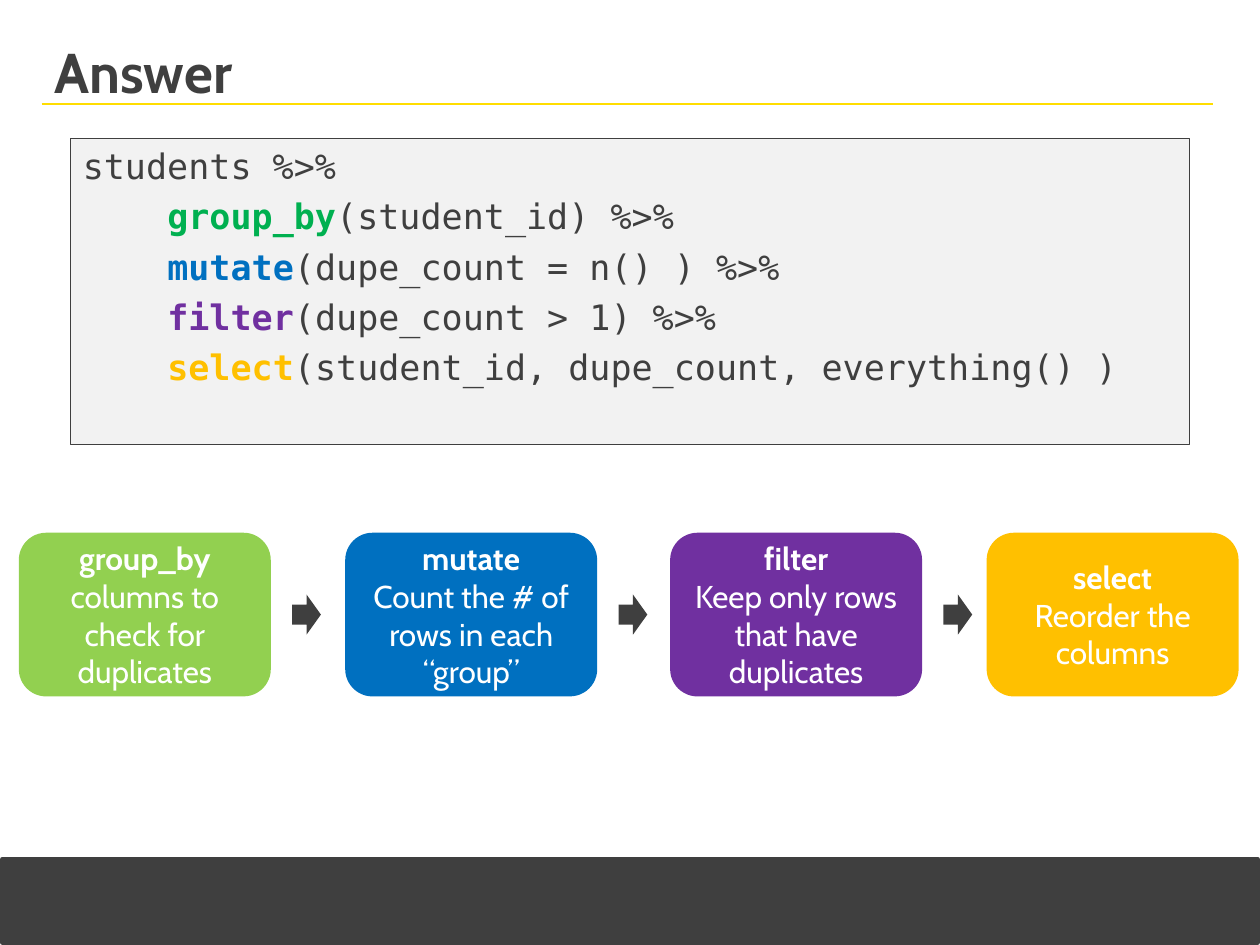
"""Build the answer slide: a dplyr pipeline and the four steps it runs."""
from lxml.etree import SubElement
from pptx import Presentation
from pptx.dml.color import RGBColor
from pptx.enum.shapes import MSO_CONNECTOR, MSO_SHAPE as Shape
from pptx.enum.text import MSO_ANCHOR as Anchor, MSO_AUTO_SIZE as AutoSize, PP_ALIGN as Align
from pptx.oxml.ns import qn
from pptx.util import Cm, Pt

DARK = RGBColor(0x3F, 0x3F, 0x3F)
RULE_YELLOW = RGBColor(0xFF, 0xDD, 0x00)
CODE_FILL = RGBColor(0xF2, 0xF2, 0xF2)
WHITE = RGBColor(0xFF, 0xFF, 0xFF)
GREEN = RGBColor(0x00, 0xB0, 0x50)
LIGHT_GREEN = RGBColor(0x92, 0xD0, 0x50)
BLUE = RGBColor(0x00, 0x70, 0xC0)
PURPLE = RGBColor(0x70, 0x30, 0xA0)
GOLD = RGBColor(0xFF, 0xC0, 0x00)
TEXT_FONT, CODE_FONT = "Cabin", "DejaVu Sans Mono"


def add_filled(kind, left, top, width, height, color):
    shape = slide.shapes.add_shape(kind, Cm(left), Cm(top), Cm(width), Cm(height))
    shape.shadow.inherit = False
    shape.fill.solid()
    shape.fill.fore_color.rgb = color
    shape.line.fill.background()
    return shape


def style(font, name, size, color, bold=False):
    font.name, font.size, font.bold = name, Pt(size), bold
    font.color.rgb = color


presentation = Presentation()
presentation.slide_width, presentation.slide_height = Cm(25.4), Cm(19.05)
slide = presentation.slides.add_slide(presentation.slide_layouts[5])

footer = add_filled(Shape.RECTANGLE, 0.05, 17.32, 25.3, 1.68, DARK)
footer.line.color.rgb = DARK
footer.line.width = Pt(3)

rule = slide.shapes.add_connector(MSO_CONNECTOR.STRAIGHT, Cm(0.84), Cm(2.1), Cm(24.46), Cm(2.1))
rule.line.color.rgb = RULE_YELLOW
rule.line.width = Pt(1)
SubElement(rule._element.spPr, qn("a:effectLst"))

title = slide.shapes.title
title.left, title.top, title.width, title.height = Cm(0.84), Cm(0.76), Cm(23.62), Cm(1.35)
title.text_frame.text = "Answer"
title.text_frame.auto_size = AutoSize.NONE
title.text_frame.vertical_anchor = Anchor.MIDDLE
title.text_frame.paragraphs[0].alignment = Align.LEFT
style(title.text_frame.paragraphs[0].runs[0].font, TEXT_FONT, 32, DARK, True)

code_lines = [
    ("", "", "students %>%", DARK),
    ("    ", "group_by", "(student_id) %>%", GREEN),
    ("    ", "mutate", "(dupe_count = n() ) %>%", BLUE),
    ("    ", "filter", "(dupe_count > 1) %>%", PURPLE),
    ("    ", "select", "(student_id, dupe_count, everything() )", GOLD),
]
code_box = add_filled(Shape.RECTANGLE, 1.42, 2.79, 22.56, 6.17, CODE_FILL)
code_box.line.color.rgb = DARK
code_box.line.width = Pt(0.75)
code_frame = code_box.text_frame
code_frame.word_wrap = True
code_frame.vertical_anchor = Anchor.TOP
for index, (indent, verb, rest, color) in enumerate(code_lines):
    paragraph = code_frame.add_paragraph() if index else code_frame.paragraphs[0]
    paragraph.alignment = Align.LEFT
    paragraph.space_before = Pt(4.7 if index else 0)
    for text, text_color, bold in ((indent, DARK, False), (verb, color, True), (rest, DARK, False)):
        if text:
            run = paragraph.add_run()
            run.text = text
            style(run.font, CODE_FONT, 20, text_color, bold)

steps = [
    (0.38, "group_by", "columns to check for duplicates", LIGHT_GREEN),
    (6.96, "mutate", "Count the # of rows in each “group”", BLUE),
    (13.51, "filter", "Keep only rows that have duplicates", PURPLE),
    (19.89, "select", "Reorder the columns", GOLD),
]
card_top, card_width, card_height = 10.74, 5.08, 3.3
arrow_width, arrow_height, arrow_gap = 0.58, 0.81, 0.43
for index, (left, verb, purpose, color) in enumerate(steps):
    card = add_filled(Shape.ROUNDED_RECTANGLE, left, card_top, card_width, card_height, color)
    card.text_frame.text = f"{verb}\n{purpose}"
    card.text_frame.word_wrap = True
    card.text_frame.vertical_anchor = Anchor.MIDDLE
    for paragraph, bold in zip(card.text_frame.paragraphs, (True, False)):
        paragraph.alignment = Align.CENTER
        style(paragraph.runs[0].font, TEXT_FONT, 18, WHITE, bold)
    if index < len(steps) - 1:
        add_filled(Shape.RIGHT_ARROW, left + card_width + arrow_gap,
                   card_top + (card_height - arrow_height) / 2, arrow_width, arrow_height, DARK)

presentation.save("out.pptx")
